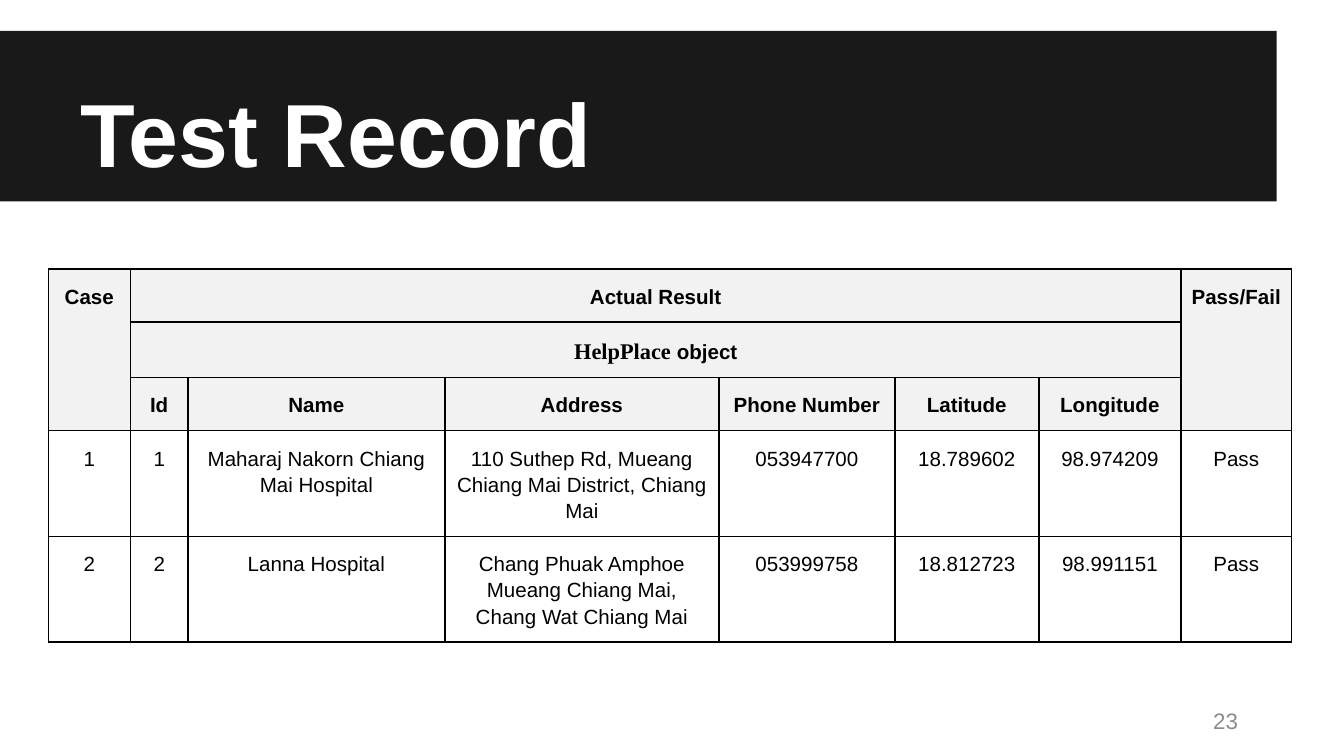
from typing import NamedTuple

from lxml import etree
from pptx import Presentation
from pptx import util as u
from pptx.dml.color import RGBColor
from pptx.enum import shapes, text
from pptx.oxml.ns import qn

PX = u.Inches(1) // 100
INK, HEADER_FILL, BAND_FILL = "000000", "F2F2F2", "191919"
WHITE, PAGE_GREY = "FFFFFF", "8C8C8C"

COLUMN_WIDTHS = [61, 43, 191, 204, 131, 107, 106, 82]
ROW_HEIGHTS = [39, 41, 39, 78, 78]
HEADER_ROWS = 3


class Box(NamedTuple):
    left: int
    top: int
    width: int
    height: int

    def emu(self) -> list[int]:
        return [side * PX for side in self]


class Run(NamedTuple):
    words: str
    size: int = 11
    font: str = "Arial"


class Heading(NamedTuple):
    row: int
    column: int
    runs: list[Run]
    rows: int = 1
    columns: int = 1


class Record(NamedTuple):
    case: str
    place_id: str
    name: str
    address: str
    phone: str
    latitude: str
    longitude: str
    result: str


FIELDS = ["Id", "Name", "Address", "Phone Number", "Latitude", "Longitude"]
HEADINGS = [
    Heading(0, 0, [Run("Case")], rows=HEADER_ROWS),
    Heading(0, 1, [Run("Actual Result")], columns=len(FIELDS)),
    Heading(0, 7, [Run("Pass/Fail")], rows=HEADER_ROWS),
    Heading(1, 1, [Run("HelpPlace ", 12, "Times New Roman"), Run("object")],
            columns=len(FIELDS)),
    *(Heading(2, column, [Run(field)]) for column, field in enumerate(FIELDS, 1)),
]
RECORDS = [
    Record("1", "1", "Maharaj Nakorn Chiang Mai Hospital",
           "110 Suthep Rd, Mueang Chiang Mai District, Chiang Mai",
           "053947700", "18.789602", "98.974209", "Pass"),
    Record("2", "2", "Lanna Hospital",
           "Chang Phuak Amphoe Mueang Chiang Mai, Chang Wat Chiang Mai",
           "053999758", "18.812723", "98.991151", "Pass"),
]


def rgb(value: str) -> RGBColor:
    return RGBColor.from_string(value)


def write(frame, runs: list[Run], *, color: str = INK, bold: bool = False,
          align=text.PP_ALIGN.CENTER, spacing: float = 1.0) -> None:
    paragraph = frame.paragraphs[0]
    paragraph.alignment = align
    paragraph.line_spacing = spacing
    for part in runs:
        run = paragraph.add_run()
        run.text = part.words
        run.font.size = u.Pt(part.size)
        run.font.name = part.font
        run.font.bold = bold
        run.font.color.rgb = rgb(color)


def add_borders(cell) -> None:
    """Rule all four sides; border elements must come before the fill."""
    properties = cell._tc.get_or_add_tcPr()
    for position, side in enumerate(("a:lnL", "a:lnR", "a:lnT", "a:lnB")):
        line = etree.Element(qn(side), w=str(u.Pt(1)))
        fill = etree.SubElement(line, qn("a:solidFill"))
        etree.SubElement(fill, qn("a:srgbClr"), val=INK)
        properties.insert(position, line)


def add_title(slide, box: Box, words: str) -> None:
    title = slide.shapes.title
    title.left, title.top, title.width, title.height = box.emu()
    frame = title.text_frame
    frame.auto_size = text.MSO_AUTO_SIZE.NONE
    frame.vertical_anchor = text.MSO_ANCHOR.BOTTOM
    frame.margin_left = frame.margin_right = 10 * PX
    frame.margin_top = frame.margin_bottom = 10 * PX
    write(frame, [Run(words, 48)], color=WHITE, bold=True, align=text.PP_ALIGN.LEFT)


def add_band(slide, box: Box) -> None:
    band = slide.shapes.add_shape(shapes.MSO_SHAPE.RECTANGLE, *box.emu())
    band.shadow.inherit = False
    band.fill.solid()
    band.fill.fore_color.rgb = rgb(BAND_FILL)
    band.line.fill.background()
    slide.shapes._spTree.insert(2, band._element)  # behind the title


def add_record_table(slide, left: int, top: int) -> None:
    box = Box(left, top, sum(COLUMN_WIDTHS), sum(ROW_HEIGHTS))
    table = slide.shapes.add_table(
        len(ROW_HEIGHTS), len(COLUMN_WIDTHS), *box.emu()).table
    table.first_row = table.horz_banding = False
    for column, width in zip(table.columns, COLUMN_WIDTHS):
        column.width = width * PX
    for number, (row, height) in enumerate(zip(table.rows, ROW_HEIGHTS)):
        row.height = height * PX
        for cell in row.cells:
            cell.margin_left = cell.margin_right = 7 * PX
            cell.margin_top = cell.margin_bottom = 10 * PX
            if number < HEADER_ROWS:
                cell.fill.solid()
                cell.fill.fore_color.rgb = rgb(HEADER_FILL)
            else:
                cell.fill.background()
            add_borders(cell)
    for heading in HEADINGS:
        cell = table.cell(heading.row, heading.column)
        if heading.rows * heading.columns > 1:
            cell.merge(table.cell(heading.row + heading.rows - 1,
                                  heading.column + heading.columns - 1))
        write(cell.text_frame, heading.runs, bold=True, spacing=1.15)
    for number, record in enumerate(RECORDS, HEADER_ROWS):
        for column, value in enumerate(record):
            write(table.cell(number, column).text_frame, [Run(value)], spacing=1.15)


def add_page_number(slide, box: Box, number: str) -> None:
    frame = slide.shapes.add_textbox(*box.emu()).text_frame
    frame.word_wrap = True
    frame.vertical_anchor = text.MSO_ANCHOR.MIDDLE
    write(frame, [Run(number, 12)], color=PAGE_GREY, align=text.PP_ALIGN.RIGHT)


def main() -> None:
    deck = Presentation()
    deck.slide_width = 1000 * PX
    deck.slide_height = deck.slide_width * 9 // 16
    slide = deck.slides.add_slide(deck.slide_layouts.get_by_name("Title Only"))
    add_band(slide, Box(0, 23, 950, 127))
    add_title(slide, Box(50, 23, 900, 125), "Test Record")
    add_record_table(slide, 36, 200)
    add_page_number(slide, Box(706, 521, 225, 30), "23")
    deck.save("out.pptx")


if __name__ == "__main__":
    main()
